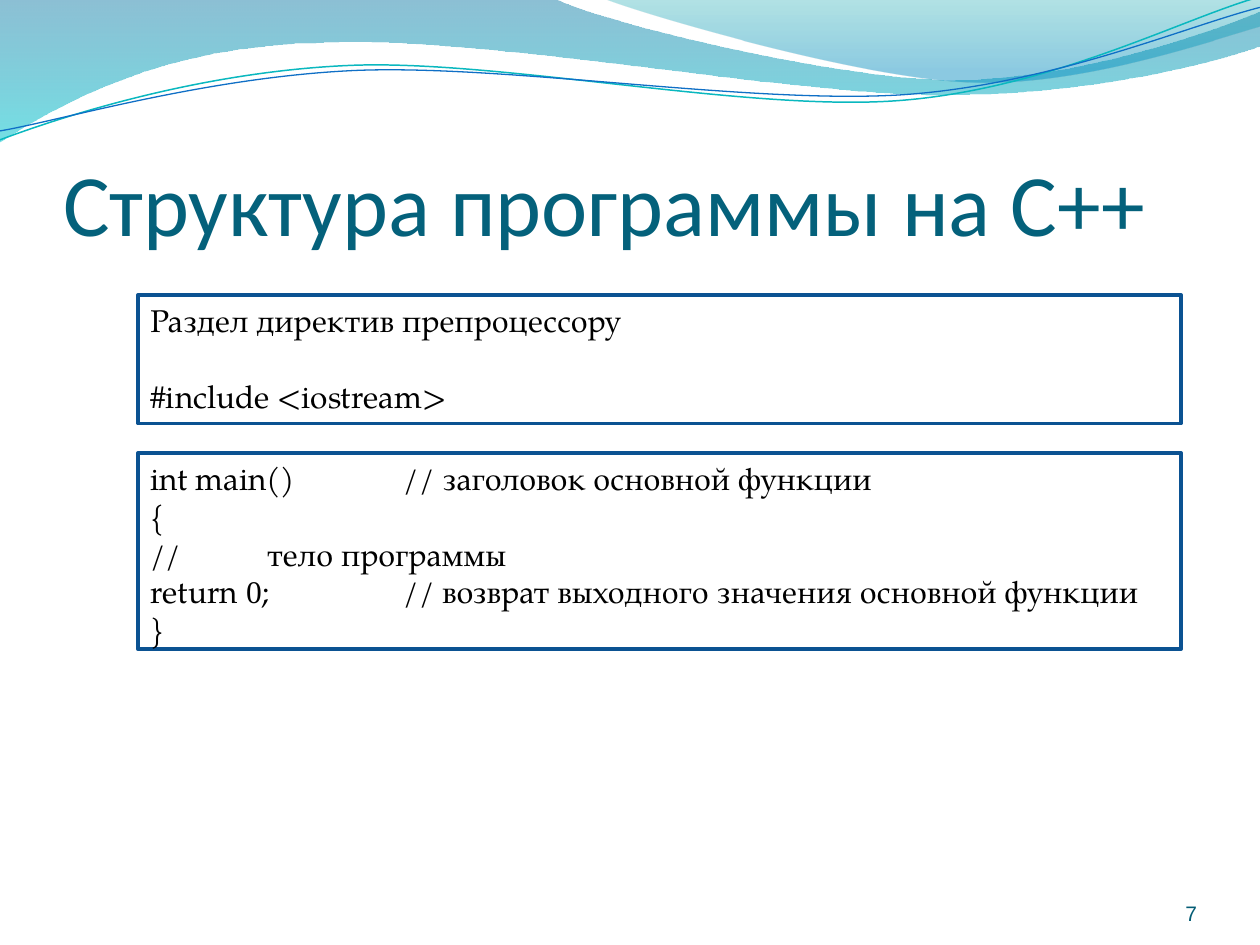
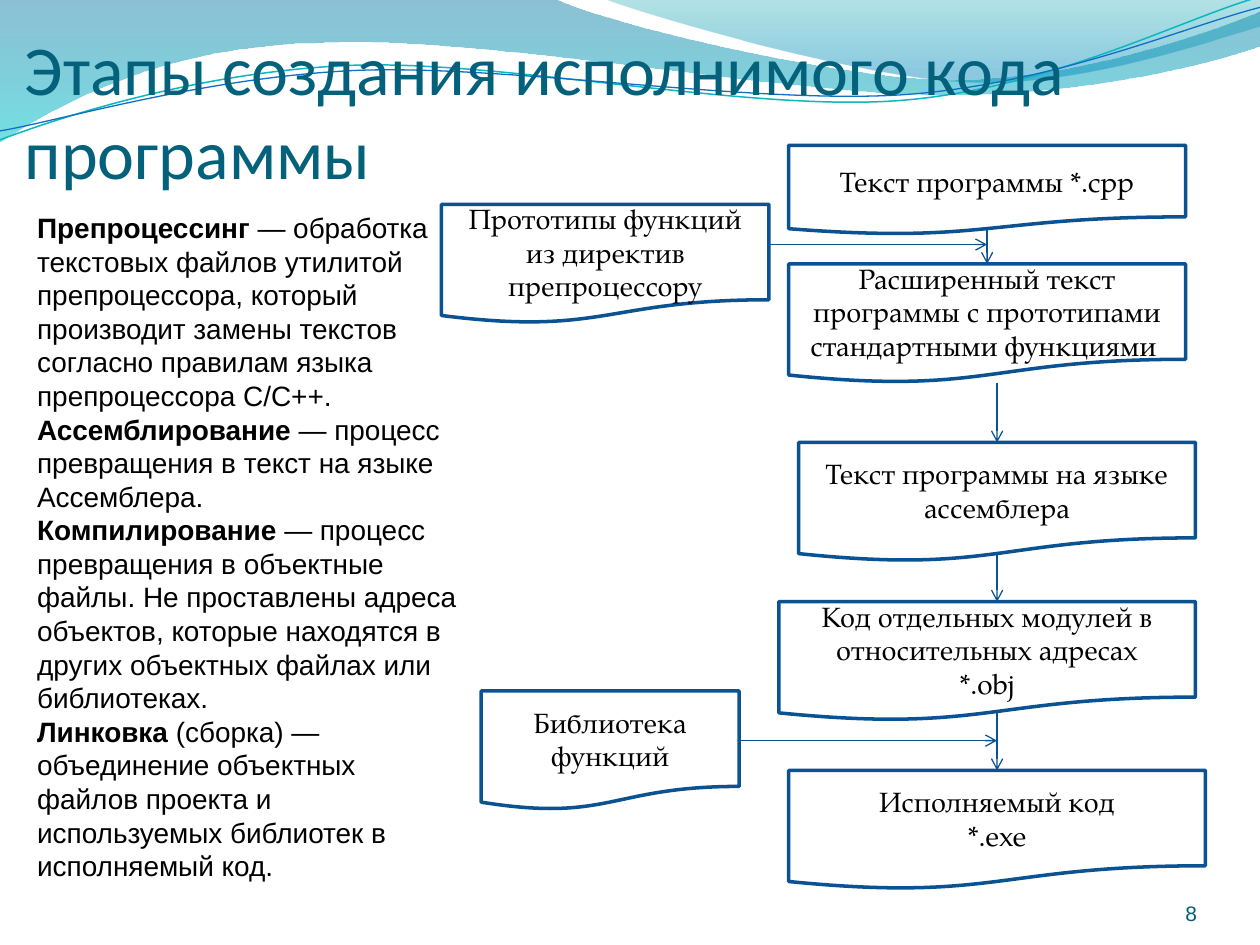
from lxml import etree
from pptx import Presentation
from pptx.dml.color import RGBColor
from pptx.enum.shapes import MSO_CONNECTOR, MSO_SHAPE
from pptx.enum.text import MSO_ANCHOR, MSO_AUTO_SIZE, PP_ALIGN
from pptx.oxml.ns import qn
from pptx.util import Cm, Pt

STRAIGHT = MSO_CONNECTOR.STRAIGHT
RECT, DOCUMENT = MSO_SHAPE.RECTANGLE, MSO_SHAPE.FLOWCHART_DOCUMENT
TOP, MIDDLE, BOTTOM = MSO_ANCHOR.TOP, MSO_ANCHOR.MIDDLE, MSO_ANCHOR.BOTTOM
LEFT, CENTER, RIGHT = PP_ALIGN.LEFT, PP_ALIGN.CENTER, PP_ALIGN.RIGHT

BLACK = RGBColor(0x00, 0x00, 0x00)
TITLE_TEAL = RGBColor(0x04, 0x61, 0x7B)
NUMBER_TEAL = RGBColor(0x04, 0x5D, 0x75)
BOX_BLUE = RGBColor(0x0B, 0x52, 0x92)
ARROW_BLUE = RGBColor(0x09, 0x52, 0x95)
WAVE_BLUE = RGBColor(0x00, 0x74, 0xA1)
WAVE_CYAN = RGBColor(0x00, 0xC6, 0xCF)
WAVE_GREEN = RGBColor(0x00, 0xA1, 0xA9)
WAVE_SKY = RGBColor(0x00, 0x8B, 0xBF)
LINE_CYAN = RGBColor(0x0A, 0xB8, 0xBF)
LINE_BLUE = RGBColor(0x0F, 0x6F, 0xC6)

TITLE_FONT, BODY_FONT, BOX_FONT = "Calibri", "Arial", "TeX Gyre Pagella"
ZERO_FONT = "Times New Roman"

# Waves, in cm: a start point, then line ends (2 numbers) or Bezier curves (6)
# Bands: gradient stops are (position, colour, opacity in percent)
BANDS = [
    ([(0, -0.03), (11.18, -0.03),
      (12.09, 0.43, 16.87, 1.6, 19.25, 1.6),
      (21.67, 1.6, 24.33, 0.66, 25.4, 0.23),
      (25.43, 0.91),
      (24.97, 1.12, 22.1, 1.93, 18.95, 1.91),
      (15.8, 1.91, 9.7, 0.71, 6.53, 0.86),
      (3.28, 0.89, 1.17, 2.11, -0.03, 2.87)],
     [(0, WAVE_BLUE, 45), (1, WAVE_CYAN, 55)]),
    ([(12.17, -0.03),
      (12.93, 0.28, 17.32, 1.57, 19.53, 1.65),
      (21.74, 1.75, 24.41, 0.81, 25.4, 0.53),
      (25.4, 0)],
     [(0, WAVE_GREEN, 30), (0.8, WAVE_SKY, 45)]),
]
THREADS = [
    ([(0, 2.82),
      (1.22, 2.36, 4.01, 1.45, 7.04, 1.32),
      (10.03, 1.19, 15.06, 2.26, 18.11, 2.03),
      (21.16, 1.8, 23.83, 0.38, 25.35, -0.05)], LINE_CYAN, 0.85),
    ([(0, 2.64),
      (1.19, 2.44, 4.17, 1.55, 7.19, 1.42),
      (10.24, 1.3, 15.16, 2.11, 18.21, 1.91),
      (21.23, 1.7, 23.9, 0.53, 25.4, 0.15)], LINE_BLUE, 0.75),
]

# Slide 7: program structure
STRUCTURE_TITLE = "Структура программы на С++"
DIRECTIVES = ["Раздел директив препроцессору", "#include <iostream>"]
MAIN_FUNCTION = [
    "int main()\t// заголовок основной функции",
    "{",
    "//\tтело программы",
    [("return ", BOX_FONT), ("0", ZERO_FONT),
     (";\t\t// возврат выходного значения основной функции", BOX_FONT)],
    "}",
]
# Tab stops in cm by line of the main function
TAB_STOPS = {0: [5.11], 2: [2.36], 3: [2.55, 5.11]}

# Slide 8: build stages
STAGES_TITLE = "Этапы создания исполнимого кода программы"
STAGES = [
    ("Препроцессинг", " — обработка текстовых файлов утилитой препроцессора, "
     "который производит замены текстов согласно правилам языка препроцессора C/C++."),
    ("Ассемблирование", " — процесс превращения в текст на языке Ассемблера."),
    ("Компилирование", " — процесс превращения в объектные файлы. Не проставлены адреса "
     "объектов, которые находятся в других объектных файлах или библиотеках."),
    ("Линковка", " (сборка) — объединение объектных файлов проекта и используемых "
     "библиотек в исполняемый код."),
]
DOCUMENTS = {
    "source": ((15.9, 2.93, 8, 1.8), ["Текст программы *.cpp"]),
    "expanded": ((15.9, 5.32, 8, 2.4),
                 ["Расширенный текст программы с прототипами стандартными функциями "]),
    "object": ((15.7, 12.13, 8.4, 2.4),
               ["Код отдельных модулей в относительных адресах", "*.obj"]),
    "assembler": ((16.1, 8.92, 8, 2.4), ["Текст программы на языке ассемблера"]),
    "executable": ((15.9, 15.53, 8.4, 2.4), ["Исполняемый код", "*.exe"]),
    "library": ((9.7, 13.93, 5.2, 2.4), ["Библиотека функций"]),
    "prototypes": ((8.9, 4.12, 6.6, 2.4),
                   ["Прототипы функций из директив препроцессору"]),
}
# Down arrows: upper, lower, x, share of the upper height where the arrow starts
DOWN_ARROWS = [
    ("source", "expanded", 19.9, 0.93),
    ("expanded", "assembler", 20.1, 1),
    ("assembler", "object", 20.1, 0.93),
    ("object", "executable", 20.1, 0.93),
]
# Side arrows: start box, y, end x
SIDE_ARROWS = [("library", 14.93, 20.1), ("prototypes", 4.93, 19.9)]


def add_run(p, text, size, font, color, bold=False):
    r = p.add_run()
    r.text = text
    r.font.size, r.font.name, r.font.bold = Pt(size), font, bold
    r.font.color.rgb = color


def add_paragraph(tf, first):
    return tf.paragraphs[0] if first else tf.add_paragraph()


def add_wave(s, route, close):
    """Lay out every point as a line end, then join threes into curves."""
    (x, y), *steps = route
    builder = s.shapes.build_freeform(Cm(x), Cm(y))
    for step in steps:
        builder.add_line_segments(
            [(Cm(x), Cm(y)) for x, y in zip(step[::2], step[1::2])], close=False)
    if close:
        builder.add_line_segments([], close=True)
    sp = builder.convert_to_shape()
    sp.shadow.inherit = False
    segments = iter(list(sp._element.iter(qn("a:lnTo"))))
    for step in steps:
        segment = next(segments)
        if len(step) == 6:
            segment.tag = qn("a:cubicBezTo")
            for _ in range(2):
                extra = next(segments)
                segment.append(extra[0])
                extra.getparent().remove(extra)
    return sp


def put_waves_on_layout(s):
    """Draw the waves on a slide, then hand them to its layout."""
    waves = []
    for route, stops in BANDS:
        sp = add_wave(s, route, True)
        sp.line.fill.background()
        sp.fill.gradient()
        sp.fill.gradient_angle = 270
        for stop, (position, color, _) in zip(sp.fill.gradient_stops, stops):
            stop.position = position
            stop.color.rgb = color
        colors = sp._element.spPr.iter(qn("a:srgbClr"))
        for clr, (_, _, opacity) in zip(colors, stops):
            etree.SubElement(clr, qn("a:alpha")).set("val", str(opacity * 1000))
        waves.append(sp)
    for route, color, width in THREADS:
        sp = add_wave(s, route, False)
        sp.fill.background()
        sp.line.color.rgb = color
        sp.line.width = Pt(width)
        waves.append(sp)
    for sp in waves:
        s.slide_layout.shapes._spTree.append(sp._element)


def add_textbox(s, place):
    tf = s.shapes.add_textbox(*map(Cm, place)).text_frame
    tf.word_wrap = True
    return tf


def clear_margins(tf):
    tf.margin_left = tf.margin_right = tf.margin_top = tf.margin_bottom = 0


def add_titled_slide(prs, title, size, place, number):
    s = prs.slides.add_slide(prs.slide_layouts[5])
    sp = s.shapes.title
    sp.left, sp.top, sp.width, sp.height = map(Cm, place)
    tf = sp.text_frame
    tf.auto_size, tf.vertical_anchor = MSO_AUTO_SIZE.NONE, BOTTOM
    clear_margins(tf)
    tf.margin_top = Cm(0.13)
    tf.paragraphs[0].alignment = LEFT
    add_run(tf.paragraphs[0], title, size, TITLE_FONT, TITLE_TEAL)

    # Slide number
    tf = add_textbox(s, (22.02, 17.65, 2.11, 1.02))
    clear_margins(tf)
    tf.vertical_anchor = BOTTOM
    tf.paragraphs[0].alignment = RIGHT
    add_run(tf.paragraphs[0], str(number), 12, BODY_FONT, NUMBER_TEAL)
    return s


def add_box(s, kind, place, lines, size, anchor, alignment):
    sp = s.shapes.add_shape(kind, *map(Cm, place))
    sp.shadow.inherit = False
    sp.fill.background()
    sp.line.color.rgb = BOX_BLUE
    sp.line.width = Pt(2)
    tf = sp.text_frame
    tf.word_wrap, tf.vertical_anchor = True, anchor
    for i, line in enumerate(lines):
        p = add_paragraph(tf, i == 0)
        p.alignment = alignment
        runs = [(line, BOX_FONT)] if isinstance(line, str) else line
        for text, font in runs:
            add_run(p, text, size, font, BLACK)
    return tf


def add_arrow(s, x1, y1, x2, y2):
    line = s.shapes.add_connector(STRAIGHT, *map(Cm, (x1, y1, x2, y2)))
    line.line.color.rgb = ARROW_BLUE
    line.line.width = Pt(0.75)
    etree.SubElement(line.line._get_or_add_ln(), qn("a:tailEnd")).set("type", "arrow")
    etree.SubElement(line._element.spPr, qn("a:effectLst"))


def build_structure_slide(prs):
    s = add_titled_slide(prs, STRUCTURE_TITLE, 50, (1.27, 1.95, 23.06, 3.18), 7)
    put_waves_on_layout(s)
    tf = add_box(s, RECT, (2.78, 5.95, 21.03, 2.59), DIRECTIVES, 18, TOP, LEFT)
    tf.paragraphs[1].space_before = Pt(21.6)
    tf = add_box(s, RECT, (2.78, 9.13, 21.03, 3.96), MAIN_FUNCTION, 18, TOP, LEFT)
    for i, stops in TAB_STOPS.items():
        tabs = etree.SubElement(tf.paragraphs[i]._p.get_or_add_pPr(), qn("a:tabLst"))
        for stop in stops:
            etree.SubElement(tabs, qn("a:tab"), pos=str(Cm(stop)), algn="l")


def build_stages_slide(prs):
    s = add_titled_slide(prs, STAGES_TITLE, 40, (0.5, 0.73, 24.61, 3.18), 8)

    # Stage descriptions
    tf = add_textbox(s, (0.5, 4.12, 8.99, 14.63))
    for i, (term, meaning) in enumerate(STAGES):
        p = add_paragraph(tf, i == 0)
        p.line_spacing = Pt(19.2)
        add_run(p, term, 16, BODY_FONT, BLACK, bold=True)
        add_run(p, meaning, 16, BODY_FONT, BLACK)

    # Flow chart
    for place, lines in DOCUMENTS.values():
        add_box(s, DOCUMENT, place, lines, 16, MIDDLE, CENTER)
    for upper, lower, x, share in DOWN_ARROWS:
        _, top, _, height = DOCUMENTS[upper][0]
        add_arrow(s, x, top + share * height, x, DOCUMENTS[lower][0][1])
    for start, y, end_x in SIDE_ARROWS:
        left, _, width, _ = DOCUMENTS[start][0]
        add_arrow(s, left + width, y, end_x, y)


def main():
    prs = Presentation()
    prs.slide_width, prs.slide_height = Cm(25.4), Cm(19.05)
    build_structure_slide(prs)
    build_stages_slide(prs)
    prs.save("out.pptx")


if __name__ == "__main__":
    main()
